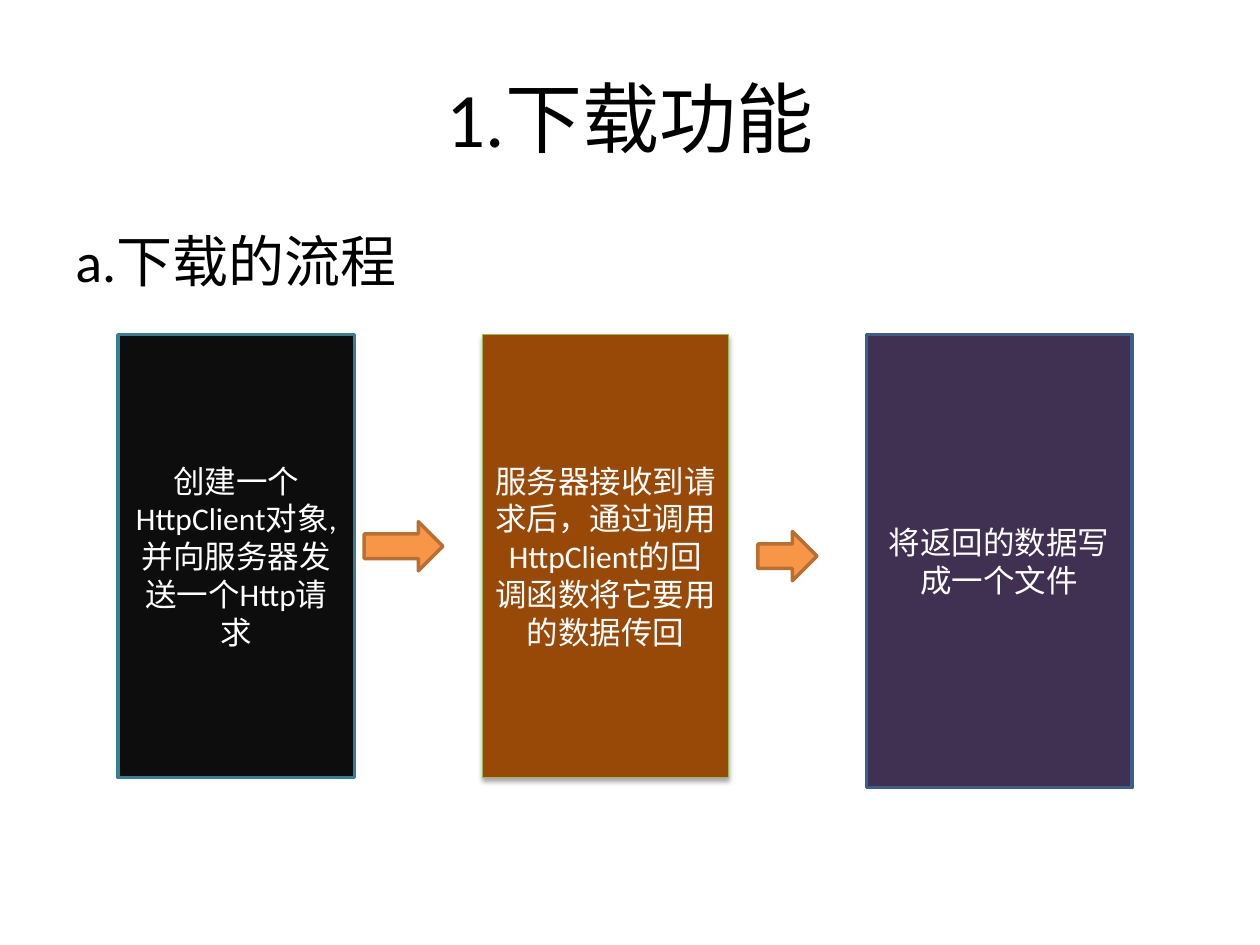
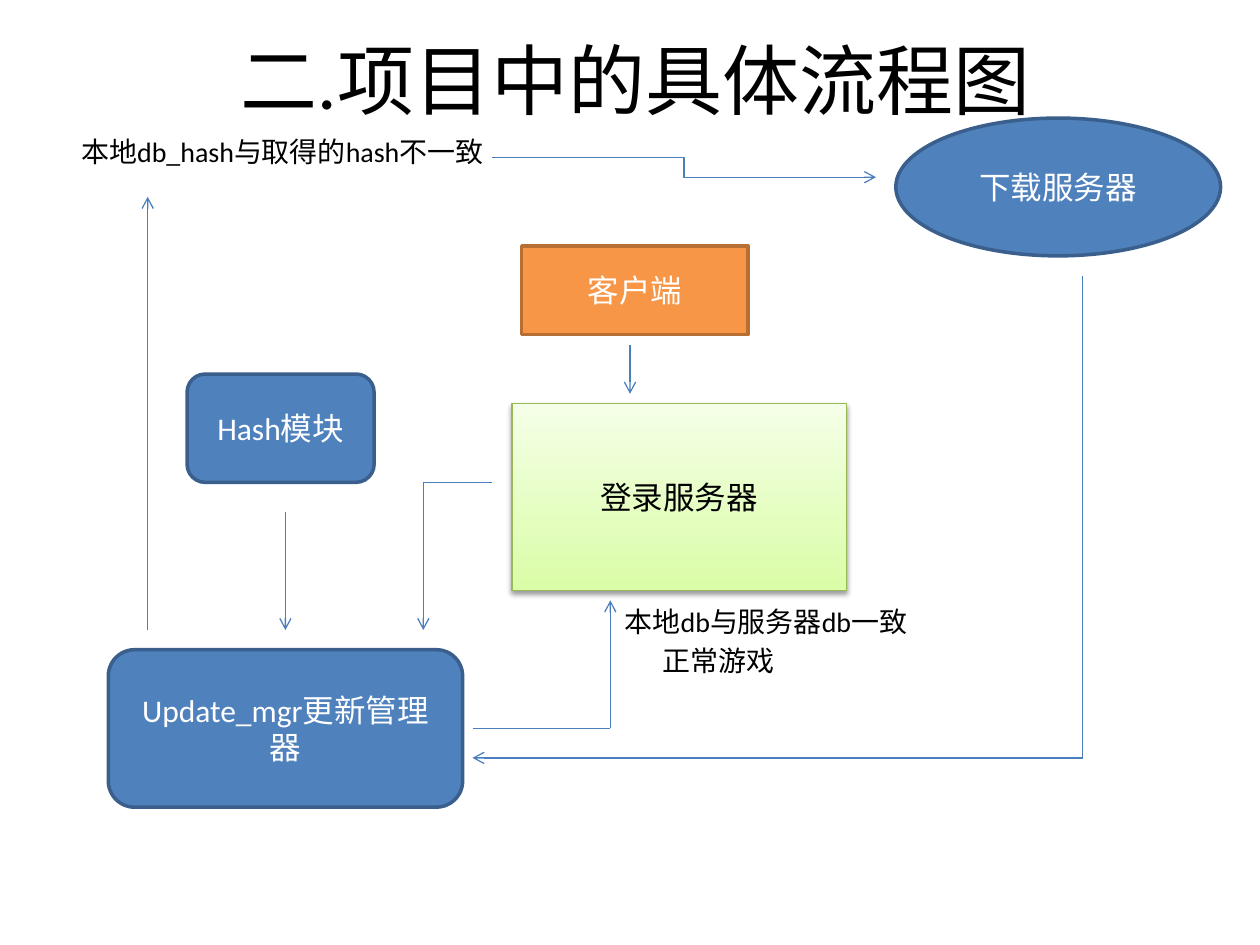
from dataclasses import dataclass
from itertools import pairwise

from lxml.etree import SubElement
from pptx import Presentation
from pptx.dml.color import RGBColor
from pptx.enum.shapes import MSO_CONNECTOR, MSO_SHAPE
from pptx.enum.text import MSO_ANCHOR, PP_ALIGN
from pptx.oxml.ns import qn
from pptx.util import Pt


@dataclass(frozen=True)
class Theme:
    font: str = "Calibri"
    title: int = 44
    head: int = 32
    body: int = 18
    note: int = 16
    thick: float = 2
    thin: float = 0.75
    black: str = "000000"
    white: str = "FFFFFF"
    wire: str = "4B7EBC"
    blue: tuple = ("4F81BD", "3A5F8C")
    orange: tuple = ("F79646", "B76F34")
    ink: tuple = ("0D0D0D", "377F92")
    brown: tuple = ("984807", "98B955")
    plum: tuple = ("403152", "3A5F8C")
    lime: tuple = (("DAFDA7", "F5FFE7"), "98B955")


THEME = Theme()


def rgb(code):
    return RGBColor.from_string(code)


def write(frame, text, size, color, align=PP_ALIGN.CENTER):
    frame.word_wrap = True
    para = frame.paragraphs[0]
    para.text = text
    para.alignment = align
    font = para.font
    font.name, font.size = THEME.font, Pt(size)
    font.color.rgb = rgb(color)


def add_text(slide, text, box, size, align=PP_ALIGN.LEFT):
    frame = slide.shapes.add_textbox(*map(Pt, box)).text_frame
    write(frame, text, size, THEME.black, align)
    return frame


def add_title(slide, text, left, top):
    frame = add_text(slide, text, (left, top, 648, 90), THEME.title, PP_ALIGN.CENTER)
    frame.vertical_anchor = MSO_ANCHOR.MIDDLE


def add_shade(shape, alpha):
    """Give the shape a soft shadow straight below it."""
    effects = shape._element.spPr.find(qn("a:effectLst"))
    outer = SubElement(effects, qn("a:outerShdw"), blurRad=str(Pt(3.1)),
                       dist=str(Pt(1.7)), dir="5400000", rotWithShape="0")
    color = SubElement(outer, qn("a:srgbClr"), val=THEME.black)
    SubElement(color, qn("a:alpha"), val=str(alpha * 1000))


def add_node(slide, kind, box, paint, text="", color=THEME.white, shade=0):
    """Draw a preset shape; a pair of fill colours runs from bottom to top."""
    shape = slide.shapes.add_shape(kind, *map(Pt, box))
    shape.shadow.inherit = False
    fill, edge = paint
    if isinstance(fill, tuple):
        shape.fill.gradient()
        shape.fill.gradient_angle = 90
        for stop, code in zip(shape.fill.gradient_stops, fill):
            stop.color.rgb = rgb(code)
    else:
        shape.fill.solid()
        shape.fill.fore_color.rgb = rgb(fill)
    shape.line.color.rgb = rgb(edge)
    shape.line.width = Pt(THEME.thin if shade else THEME.thick)
    if shade:
        add_shade(shape, shade)
    if text:
        write(shape.text_frame, text, THEME.body, color)


def add_wire(slide, *points, kind=MSO_CONNECTOR.STRAIGHT):
    """Join the points in order, with an arrowhead at the last one."""
    for start, end in pairwise(points):
        wire = slide.shapes.add_connector(kind, *map(Pt, start + end))
        wire.line.color.rgb = rgb(THEME.wire)
        wire.line.width = Pt(THEME.thin)
        SubElement(wire._element.spPr, qn("a:effectLst"))
    SubElement(wire.line._get_or_add_ln(), qn("a:tailEnd"), type="arrow")


def draw_steps(slide):
    add_title(slide, "1.下载功能", 36, 21.6)
    add_text(slide, "a.下载的流程", (36, 126, 648, 50), THEME.head)
    top = 191.25
    steps = [
        (67.5, 135, 253.1, THEME.ink, 0,
         "创建一个HttpClient对象,并向服务器发送一个Http请求"),
        (275.6, 140.6, 253.1, THEME.brown, 35,
         "服务器接收到请求后，通过调用HttpClient的回调函数将它要用的数据传回"),
        (495, 151.9, 258.75, THEME.plum, 0, "将返回的数据写成一个文件"),
    ]
    for left, width, height, paint, shade, text in steps:
        add_node(slide, MSO_SHAPE.RECTANGLE, (left, top, width, height),
                 paint, text, shade=shade)
    for box in [(208.1, 298.1, 45, 28.1), (433.1, 303.75, 33.75, 28.1)]:
        add_node(slide, MSO_SHAPE.RIGHT_ARROW, box, THEME.orange)


def draw_flow(slide):
    add_title(slide, "二.项目中的具体流程图", 39.4, 0)
    notes = [
        ("本地db_hash与取得的hash不一致", 39.4, 73.4),
        ("本地db与服务器db一致", 350, 342),
        ("正常游戏", 371.6, 364.3),
    ]
    for text, left, top in notes:
        add_text(slide, text, (left, top, 280, 27), THEME.note)

    rect, soft = MSO_SHAPE.RECTANGLE, MSO_SHAPE.ROUNDED_RECTANGLE
    add_node(slide, soft, (61.9, 371.25, 202.5, 90), THEME.blue, "Update_mgr更新管理器")
    add_node(slide, rect, (292.5, 230.6, 191.25, 106.9), THEME.lime,
             "登录服务器", THEME.black, shade=38)
    add_node(slide, MSO_SHAPE.OVAL, (511.9, 67.5, 185.6, 78.75), THEME.blue, "下载服务器")
    add_node(slide, rect, (298.1, 140.6, 129.4, 50.6), THEME.orange, "客户端")
    add_node(slide, soft, (106.9, 213.75, 106.9, 61.9), THEME.blue, "Hash模块")

    add_wire(slide, (281.25, 90), (500.6, 101.25), kind=MSO_CONNECTOR.ELBOW)
    floor = 360
    routes = [
        [(360, 196.9), (360, 225)],
        [(281.25, 275.6), (241.9, 275.6), (241.9, floor)],
        [(84.4, floor), (84.4, 112.5)],
        [(270, 416.25), (348.75, 416.25), (348.75, 343.1)],
        [(618.75, 157.5), (618.75, 433.1), (270, 433.1)],
        [(163.1, 292.5), (163.1, floor)],
    ]
    for route in routes:
        add_wire(slide, *route)


def main():
    deck = Presentation()
    deck.slide_width, deck.slide_height = Pt(720), Pt(540)
    for draw in (draw_steps, draw_flow):
        draw(deck.slides.add_slide(deck.slide_layouts[6]))
    deck.save("out.pptx")


if __name__ == "__main__":
    main()
